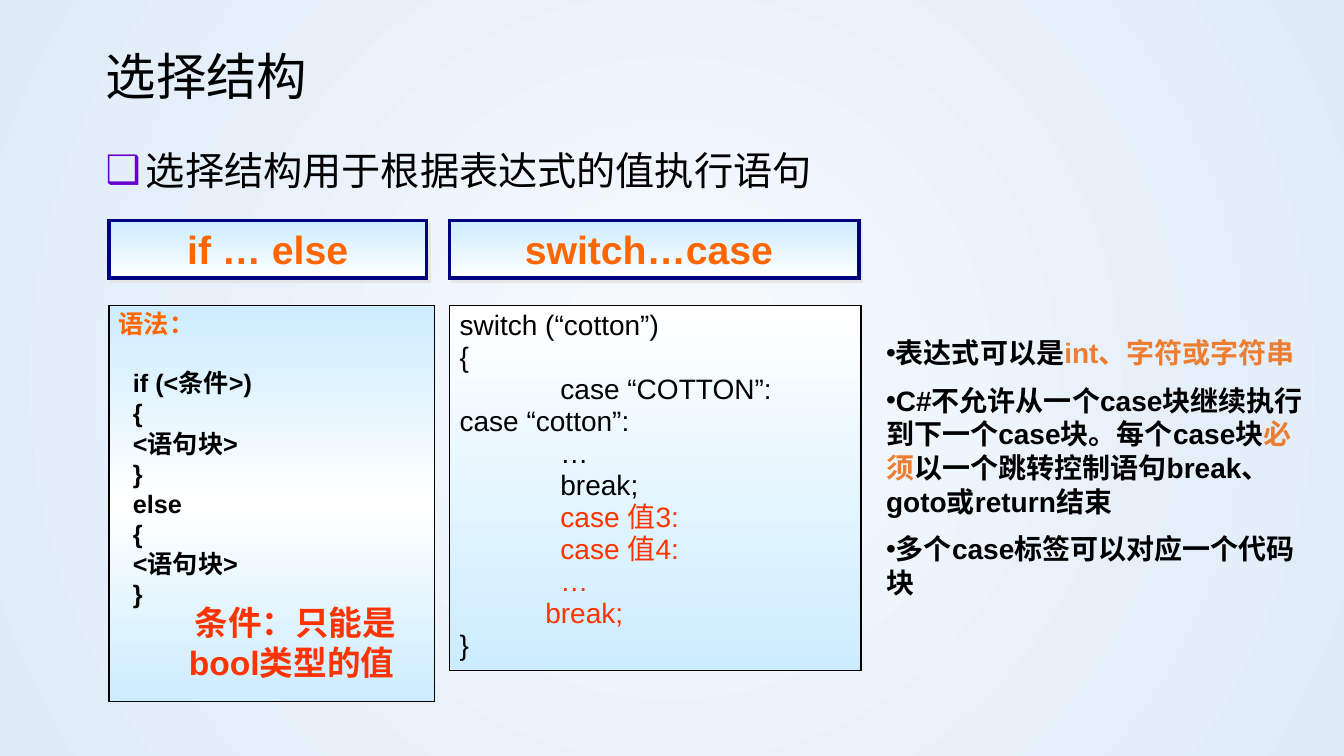
from lxml import etree
from pptx import Presentation
from pptx.dml import color
from pptx.enum import shapes, text
from pptx.oxml import ns, parse_xml
from pptx.util import Inches, Pt

BLACK, ORANGE, RED, ACCENT = "000000", "FF6600", "FF3300", "ED7D31"
SKY, WHITE, NAVY, PURPLE = "CCECFF", "FFFFFF", "000080", "6600CC"
DOWNWARD = '<a:lin %s ang="5400000" scaled="0"/>'
RADIAL = ('<a:path %s path="circle">'
          '<a:fillToRect l="50000" t="50000" r="50000" b="50000"/></a:path>')


def rgb(value):
    return color.RGBColor.from_string(value)


def add_color(parent, value):
    etree.SubElement(parent, ns.qn("a:srgbClr"), val=value)


def paint_gradient(fill, owner, colors, direction):
    fill.gradient()
    gradient = next(owner.iter(ns.qn("a:gradFill")))
    for child in list(gradient):
        gradient.remove(child)
    stops = etree.SubElement(gradient, ns.qn("a:gsLst"))
    for index, value in enumerate(colors):
        position = 100000 * index // (len(colors) - 1)
        add_color(etree.SubElement(stops, ns.qn("a:gs"), pos=str(position)), value)
    gradient.append(parse_xml(direction % ns.nsdecls("a")))


def add_bullet(paragraph, symbol, value=BLACK, hanging=0):
    props = paragraph._p.get_or_add_pPr()
    props.set("marL", str(Inches(hanging)))
    props.set("indent", str(-Inches(hanging)))
    add_color(etree.SubElement(props, ns.qn("a:buClr")), value)
    etree.SubElement(props, ns.qn("a:buFont"), typeface="Arial")
    etree.SubElement(props, ns.qn("a:buChar"), char=symbol)


def add_shadow(shape):
    effects = shape._element.spPr.find(ns.qn("a:effectLst"))
    shadow = etree.SubElement(effects, ns.qn("a:outerShdw"), dist="35560", dir="2700000")
    add_color(shadow, "E7E6E6")


def write(frame, lines, size, bold=False, align=text.PP_ALIGN.LEFT, gap=0, spacing=1.0):
    frame.word_wrap = True
    for index, pieces in enumerate(lines):
        paragraph = frame.paragraphs[0] if index == 0 else frame.add_paragraph()
        paragraph.alignment = align
        paragraph.line_spacing = spacing
        paragraph.space_before = Pt(gap if index else 0)
        for wording, value in pieces:
            run = paragraph.add_run()
            run.text = wording
            run.font.name = "Arial"
            run.font.size = Pt(size)
            run.font.bold = bold
            run.font.color.rgb = rgb(value)
    return frame.paragraphs


def add_label(slide, box, lines, size, **style):
    label = slide.shapes.add_textbox(*map(Inches, box))
    return label, write(label.text_frame, lines, size, **style)


def add_panel(slide, box, colors, outline, weight):
    panel = slide.shapes.add_shape(shapes.MSO_SHAPE.RECTANGLE, *map(Inches, box))
    panel.shadow.inherit = False
    paint_gradient(panel.fill, panel._element.spPr, colors, DOWNWARD)
    panel.line.color.rgb = rgb(outline)
    panel.line.width = Pt(weight)
    etree.SubElement(panel._element.spPr.find(ns.qn("a:ln")), ns.qn("a:miter"), lim="800000")
    panel.text_frame.vertical_anchor = text.MSO_ANCHOR.TOP
    return panel


def add_header(slide, left, width, wording):
    header = add_panel(slide, (left, 2.19, width, 0.57), (SKY, WHITE), NAVY, 2.5)
    add_shadow(header)
    write(header.text_frame, [[(wording, ORANGE)]], 28, True, text.PP_ALIGN.CENTER)


def add_code(slide, box, colors, code, size, **style):
    panel = add_panel(slide, box, colors, BLACK, 1)
    lines = [[(wording, value)] for wording, value, _ in code]
    paragraphs = write(panel.text_frame, lines, size, spacing=0.95, **style)
    for paragraph, (_, _, margin) in zip(paragraphs, code):
        props = paragraph._p.get_or_add_pPr()
        props.set("marL", str(Inches(margin)))
        props.set("indent", "0")
    return paragraphs


def main():
    deck = Presentation()
    deck.slide_width, deck.slide_height = Inches(13.33), Inches(7.5)
    slide = deck.slides.add_slide(deck.slide_layouts[6])
    paint_gradient(slide.background.fill, slide._element, ("F7FAFD", "DEEBF7"), RADIAL)

    title, _ = add_label(slide, (0.95, 0.41, 7.32, 0.75), [[("选择结构", BLACK)]], 36,
                         spacing=0.9)
    title.text_frame.vertical_anchor = text.MSO_ANCHOR.MIDDLE

    syntax = ["if (<条件>)", "{", "<语句块>", "}", "else", "{", "<语句块>", "}"]
    if_code = [("语法：", ORANGE, 0)] + [(line, BLACK, 0.14) for line in syntax]
    if_lines = add_code(slide, (1.08, 3.03, 3.23, 3.93), (SKY, WHITE, SKY),
                        if_code, 18, bold=True, gap=1)
    if_lines[1].space_before = Pt(22)

    _, purpose = add_label(slide, (0.95, 1.4, 8.27, 0.57),
                           [[("选择结构用于根据表达式的值执行语句", BLACK)]], 28)
    add_bullet(purpose[0], "❑", PURPLE, 0.4)

    add_header(slide, 1.08, 3.15, "if … else")
    add_label(slide, (1.75, 5.92, 2.36, 0.91), [[("条件：只能是bool类型的值 ", RED)]],
              24, bold=True, align=text.PP_ALIGN.CENTER)

    switch_code = [("switch (“cotton”)", BLACK, 0), ("{", BLACK, 0),
                   ("case “COTTON”:", BLACK, 1), ("case “cotton”:", BLACK, 0),
                   ("…", BLACK, 1), ("break;", BLACK, 1),
                   ("case 值3:", RED, 1), ("case 值4:", RED, 1),
                   ("…", RED, 1), ("break;", RED, 0.85), ("}", BLACK, 0)]
    add_code(slide, (4.46, 3.03, 4.08, 3.62), (WHITE, SKY), switch_code, 20)
    add_header(slide, 4.46, 4.06, "switch…case ")

    rules = [
        [("表达式可以是", BLACK), ("int、字符或字符串", ACCENT)],
        [("C#不允许从一个case块继续执行到下一个case块。每个case块", BLACK),
         ("必须", ACCENT), ("以一个跳转控制语句break、goto或return结束", BLACK)],
        [("多个case标签可以对应一个代码块", BLACK)],
    ]
    _, rule_lines = add_label(slide, (8.69, 3.28, 4.4, 2.79), rules, 20, bold=True, gap=10)
    for paragraph in rule_lines:
        add_bullet(paragraph, "•")

    deck.save("out.pptx")


if __name__ == "__main__":
    main()
